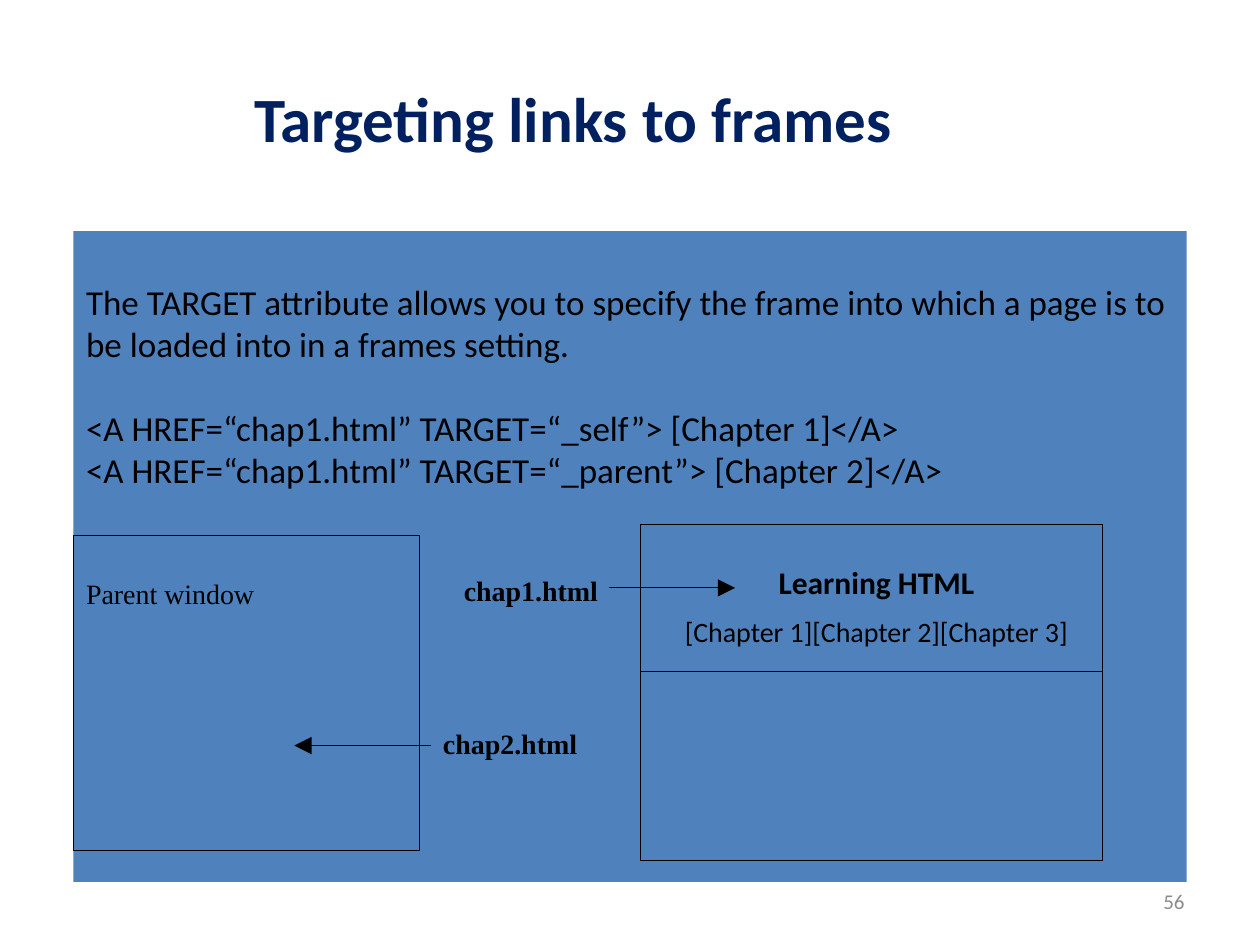
from lxml import etree
from pptx import Presentation
from pptx.dml.color import RGBColor
from pptx.enum import shapes, text
from pptx.oxml import ns
from pptx.util import Cm, Pt

COLORS = {"navy": "002060", "panel": "4F81BD", "ink": "000000", "number": "8C8C8C"}
SANS, SERIF = "Calibri", "Times New Roman"
LINE = 24.4  # height of one 20 pt line, in points


def rgb(name):
    return RGBColor.from_string(COLORS[name])


def place(sp, box):
    sp.left, sp.top, sp.width, sp.height = (Cm(v) for v in box)


def write(p, words, size, font=SANS, color="ink", bold=False, before=0, align="LEFT"):
    p.alignment = getattr(text.PP_ALIGN, align)
    p.space_before = Pt(before)
    r = p.add_run()
    r.text = words
    r.font.size, r.font.name, r.font.bold = Pt(size), font, bold
    r.font.color.rgb = rgb(color)


def add_textbox(s, box):
    tf = s.shapes.add_textbox(*(Cm(v) for v in box)).text_frame
    tf.word_wrap = True
    return tf


def add_frame(s, box):
    sp = s.shapes.add_shape(shapes.MSO_SHAPE.RECTANGLE, *(Cm(v) for v in box))
    sp.shadow.inherit = False
    sp.fill.background()
    sp.line.color.rgb = rgb("ink")
    sp.line.width = Pt(0.75)


def add_line(s, x1, y1, x2, y2, arrow=False):
    c = s.shapes.add_connector(shapes.MSO_CONNECTOR.STRAIGHT,
                               Cm(x1), Cm(y1), Cm(x2), Cm(y2))
    c.line.color.rgb = rgb("ink")
    c.line.width = Pt(0.75)
    if arrow:
        etree.SubElement(c.line._get_or_add_ln(), ns.qn("a:tailEnd"),
                         type="triangle", w="lg", len="lg")
    etree.SubElement(c._element.spPr, ns.qn("a:effectLst"))


def add_title(s, box):
    sp = s.shapes.title
    place(sp, box)
    tf = sp.text_frame
    tf.word_wrap = False
    tf.auto_size = text.MSO_AUTO_SIZE.NONE
    tf.vertical_anchor = text.MSO_ANCHOR.TOP
    write(tf.paragraphs[0], "Targeting links to frames", 36, color="navy", bold=True)


def add_body(s, box):
    sp = s.placeholders[1]
    place(sp, box)
    sp.fill.solid()
    sp.fill.fore_color.rgb = rgb("panel")
    tf = sp.text_frame
    tf.auto_size = text.MSO_AUTO_SIZE.NONE
    tf.margin_top = Pt(3.6 + LINE)
    # Wording, size, font and blank lines above
    rows = [
        ("The TARGET attribute allows you to specify the frame into which "
         "a page is to be loaded into in a frames setting.", 20, SANS, 0),
        ("<A HREF=“chap1.html” TARGET=“_self”> [Chapter 1]</A>", 20, SANS, 1),
        ("<A HREF=“chap1.html” TARGET=“_parent”> [Chapter 2]</A>", 20, SANS, 0),
        ("Parent window", 16, SERIF, 2),
    ]
    for i, (words, size, font, gap) in enumerate(rows):
        p = tf.add_paragraph() if i else tf.paragraphs[0]
        write(p, words, size, font, before=gap * LINE)
        pPr = p._p.get_or_add_pPr()
        pPr.set("marL", "0")
        pPr.set("indent", "0")
        etree.SubElement(pPr, ns.qn("a:buNone"))


def add_browser(s, box):
    x, y, w, h = box
    tf = add_textbox(s, (x + 0.21, y + 0.64, w - 0.21, 2.03))
    write(tf.paragraphs[0], "Learning HTML", 18, bold=True, align="CENTER")
    write(tf.add_paragraph(), "[Chapter 1][Chapter 2][Chapter 3]", 16,
          before=8, align="CENTER")
    add_frame(s, box)
    add_line(s, x, y + 2.96, x + w, y + 2.96)


def add_file_link(s, box, words, start, end, drop):
    """File label with an arrow running from start to end, drop below the top."""
    x, y, _, _ = box
    write(add_textbox(s, box).paragraphs[0], words, 16, SERIF, bold=True)
    add_line(s, x + start, y + drop, x + end, y + drop, arrow=True)


def add_number(s, box):
    tf = add_textbox(s, box)
    tf.vertical_anchor = text.MSO_ANCHOR.MIDDLE
    write(tf.paragraphs[0], "56", 12, color="number", align="RIGHT")


def main():
    prs = Presentation()
    prs.slide_width, prs.slide_height = Cm(25.4), Cm(19.05)
    s = prs.slides.add_slide(prs.slide_layouts[1])

    # Heading and text panel
    add_title(s, (4.87, 1.48, 15.66, 1.79))
    add_body(s, (1.48, 4.66, 22.44, 13.12))

    # Windows and the files loaded into them
    add_browser(s, (12.91, 10.58, 9.31, 6.77))
    add_frame(s, (1.48, 10.8, 6.98, 6.35))
    add_file_link(s, (9.1, 11.43, 3.6, 0.94), "chap1.html", 3.18, 5.72, 0.42)
    add_file_link(s, (8.68, 14.52, 3.6, 0.94), "chap2.html", 0, -2.75, 0.51)

    # Slide number
    add_number(s, (18.2, 17.65, 5.93, 1.02))
    prs.save("out.pptx")


if __name__ == "__main__":
    main()
